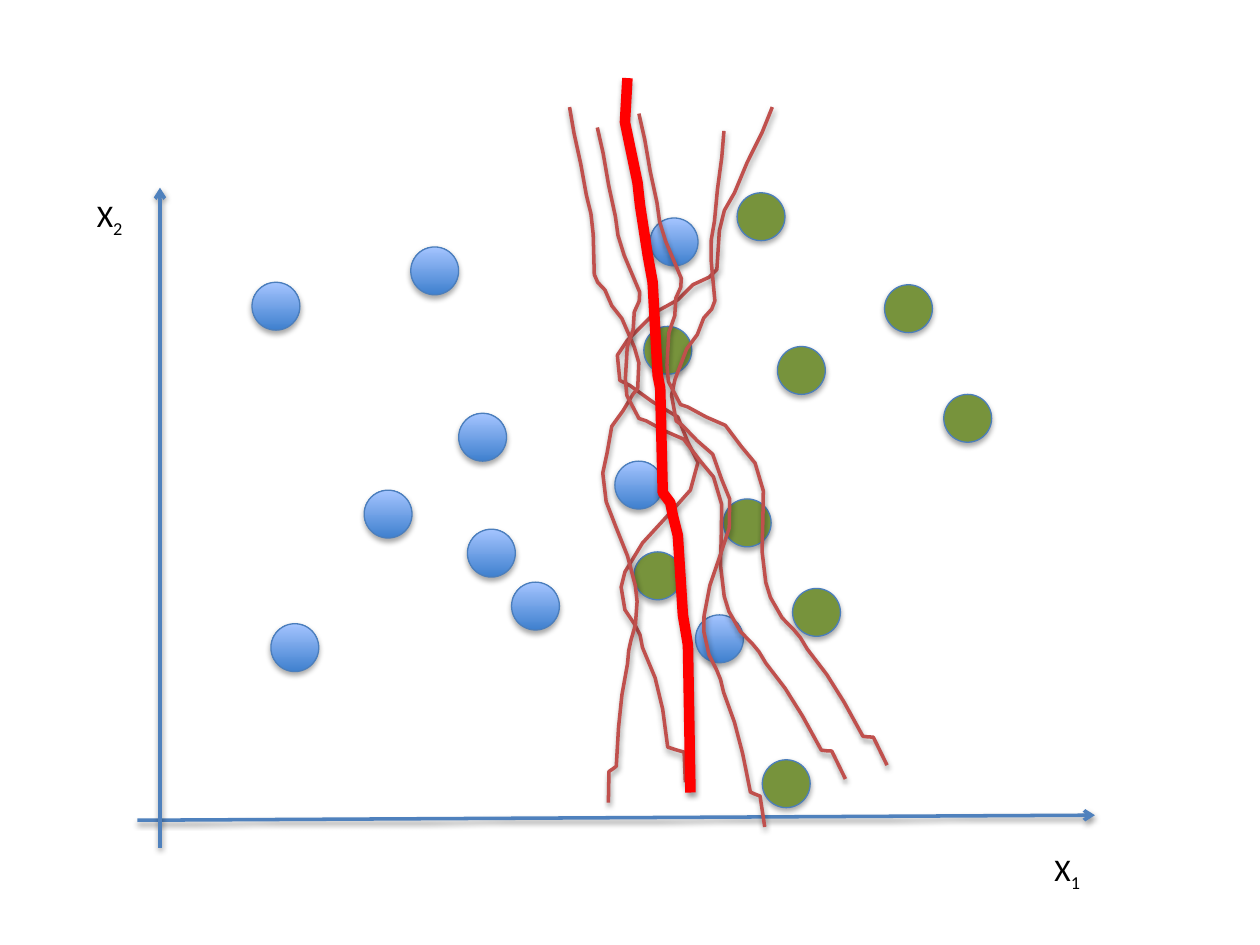
from pptx import Presentation
from pptx.dml.color import RGBColor
from pptx.enum.shapes import MSO_CONNECTOR as CONN, MSO_SHAPE as SHAPE
from pptx.enum.text import MSO_AUTO_SIZE as AUTO
from pptx.oxml import parse_xml
from pptx.oxml.ns import nsdecls, qn
from pptx.util import Inches, Pt

AXIS, EDGE, GREEN, BROWN, RED = "4F81BD", "4B7EBC", "77933C", "C0504D", "FF0000"
BLUES = ("3F80CE", "A4C4FF")
SIZE = 0.38

# Left and top of each sample, by class
BLUE_DOTS = [(2, 2.24), (3.26, 1.96), (3.64, 3.28), (2.15, 4.95), (2.89, 3.89),
             (4.06, 4.62), (3.71, 4.2), (4.88, 3.66), (5.52, 4.88)]
GREEN_DOTS = [(5.11, 2.59), (5.85, 1.53), (7.02, 2.26), (5.74, 3.96), (6.17, 2.75),
              (7.49, 3.13), (5.03, 4.38), (6.29, 4.67), (6.05, 6.03)]
LATE_DOT = [(5.16, 1.73)]

# One wavy boundary, in a box of WAVE_W by WAVE_H
WAVE_W, WAVE_H = 1.23, 5.36
WAVE = [(1.23, 0), (1.15, 0.2), (1.03, 0.44), (0.93, 0.68), (0.85, 0.82), (0.81, 0.98),
        (0.79, 1.29), (0.73, 1.35), (0.6, 1.41), (0.48, 1.53), (0.3, 1.63), (0.08, 1.85),
        (0, 1.97), (0.02, 2.17), (0.1, 2.21), (0.28, 2.34), (0.48, 2.46), (0.56, 2.66),
        (0.64, 2.82), (0.58, 3.04), (0.42, 3.22), (0.2, 3.46), (0.06, 3.69), (0.03, 3.81),
        (0.06, 3.99), (0.14, 4.11), (0.18, 4.19), (0.2, 4.29), (0.3, 4.53), (0.36, 4.78),
        (0.4, 5.08), (0.46, 5.1), (0.53, 5.12), (0.54, 5.36)]

# Each model bends that boundary: left, top, width, height, turn, mirrored
MODELS = [(4.9, 0.85, 1.23, 5.36, 0, False), (4.52, 0.85, 0.55, 5.52, 0, True),
          (5.25, 0.9, 0.68, 5.52, 335.2, False), (5.42, 1.06, 0.68, 5.52, 352.7, False),
          (5.58, 0.79, 0.68, 5.52, 335.2, False)]

# Boundary averaged over the models
MEAN = [(5.48, 6.29), (5.46, 5.12), (5.42, 4.88), (5.38, 4.25), (5.34, 4.09),
        (5.32, 3.99), (5.26, 3.91), (5.24, 3.08), (5.22, 2.98), (5.18, 2.24),
        (5.14, 2.02), (5.08, 1.63), (5.06, 1.45), (4.96, 0.97), (4.98, 0.62)]


def tint(hue):
    return RGBColor.from_string(hue)


def stroke(part, hue, width):
    part.line.color.rgb = tint(hue)
    part.line.width = Pt(width)


def shade(part, dist=20000, alpha=38000):
    part.element.spPr.append(parse_xml(
        f'<a:effectLst {nsdecls("a")}><a:outerShdw blurRad="40000" dist="{dist}" '
        f'dir="5400000" rotWithShape="0"><a:srgbClr val="000000">'
        f'<a:alpha val="{alpha}"/></a:srgbClr></a:outerShdw></a:effectLst>'))


def place(box, x, y):
    return Inches(box[0] + x), Inches(box[1] + y)


def axis(shapes, box, start, end):
    part = shapes.add_connector(CONN.STRAIGHT, *place(box, *start), *place(box, *end))
    stroke(part, AXIS, 2)
    part.element.spPr.find(qn("a:ln")).append(
        parse_xml(f'<a:tailEnd {nsdecls("a")} type="arrow"/>'))
    shade(part)


def label(shapes, box, spot, sub):
    frame = shapes.add_textbox(*place(box, *spot), Inches(0.42), Inches(0.4)).text_frame
    for name, value in {"word_wrap": False, "auto_size": AUTO.SHAPE_TO_FIT_TEXT}.items():
        setattr(frame, name, value)
    for text in ("X", sub):
        run = frame.paragraphs[0].add_run()
        run.text = text
        for name, value in {"name": "Calibri", "size": Pt(18)}.items():
            setattr(run.font, name, value)
        run.font.color.rgb = tint("000000")
    run.font._element.set("baseline", "-25000")


def dots(shapes, box, spots, hue=None):
    for spot in spots:
        dot = shapes.add_shape(SHAPE.OVAL, *place(box, *spot), Inches(SIZE), Inches(SIZE))
        if hue:
            dot.fill.solid()
            dot.fill.fore_color.rgb = tint(hue)
        else:
            dot.fill.gradient()
            dot.fill.gradient_angle = 90
            for stop, blue, pos in zip(dot.fill.gradient_stops, BLUES, (0, 1)):
                stop.color.rgb = tint(blue)
                stop.position = pos
        stroke(dot, EDGE, 0.75)
        shade(dot, 23000, 35000)


def curve(shapes, box, points, hue, width, turn=0):
    first, *rest = [place(box, *point) for point in points]
    pen = shapes.build_freeform(*first)
    pen.add_line_segments(rest, close=False)
    part = pen.convert_to_shape()
    part.rotation = turn
    part.fill.background()
    stroke(part, hue, width)
    shade(part)


def model(shapes, box, left, top, width, height, turn, mirrored):
    points = []
    for x, y in WAVE:
        across = 1 - x / WAVE_W if mirrored else x / WAVE_W
        points.append((left + across * width, top + y / WAVE_H * height))
    curve(shapes, box, points, BROWN, 2, turn)


def plot(shapes, box):
    # Axes and their names
    axis(shapes, box, (1.09, 6.51), (8.69, 6.47))
    axis(shapes, box, (1.27, 6.73), (1.27, 1.49))
    label(shapes, box, (8.27, 6.7), "1")
    label(shapes, box, (0.67, 1.51), "2")
    # Samples
    dots(shapes, box, BLUE_DOTS)
    dots(shapes, box, GREEN_DOTS, GREEN)
    dots(shapes, box, LATE_DOT)
    # Boundaries
    for form in MODELS:
        model(shapes, box, *form)
    curve(shapes, box, MEAN, RED, 6)


def main():
    deck = Presentation()
    deck.slide_width, deck.slide_height = Inches(10), Inches(7.5)
    slide = deck.slides.add_slide(deck.slide_layouts[6])
    plot(slide.shapes, (0, 0))
    deck.save("out.pptx")


if __name__ == "__main__":
    main()
